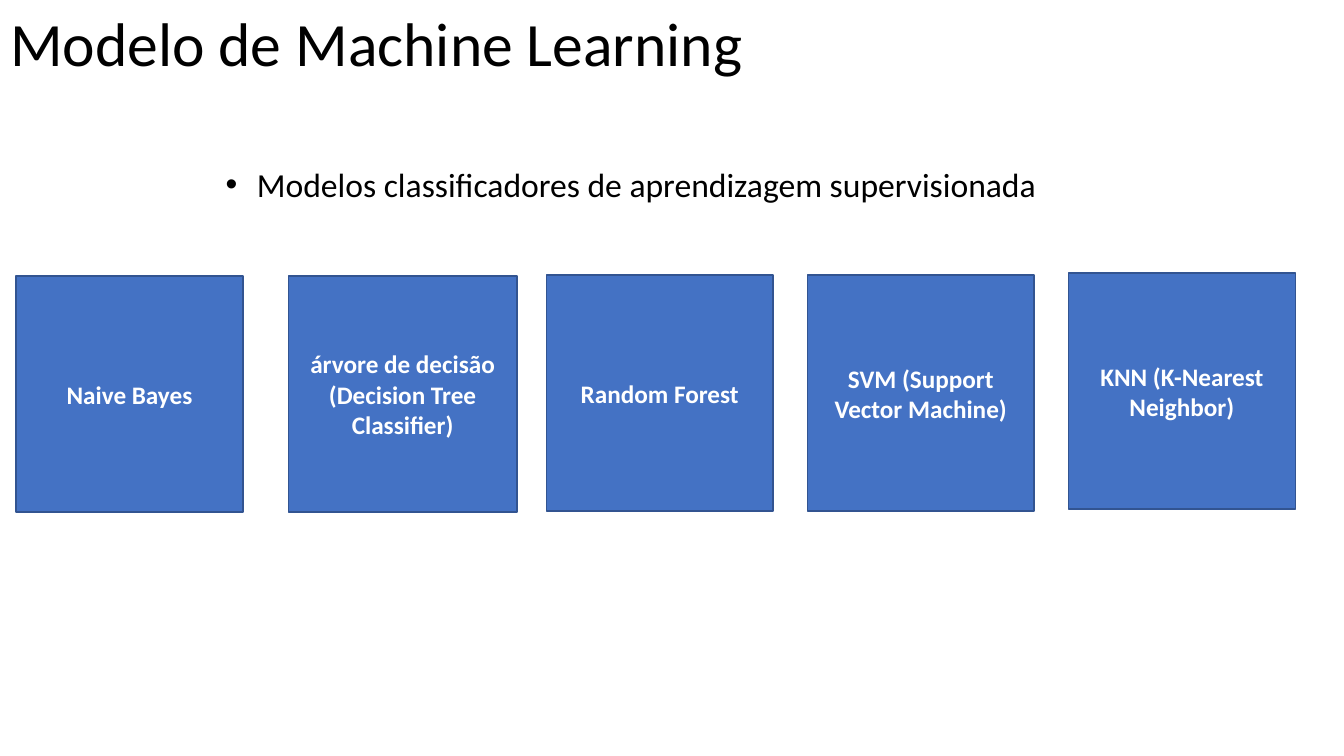
from dataclasses import dataclass

from lxml import etree
from pptx import Presentation
from pptx import util as u
from pptx.dml.color import RGBColor
from pptx.enum import shapes, text
from pptx.oxml import ns

BLACK = RGBColor(0x00, 0x00, 0x00)
WHITE = RGBColor(0xFF, 0xFF, 0xFF)
BLUE = RGBColor(0x44, 0x72, 0xC4)
DARK_BLUE = RGBColor(0x32, 0x54, 0x91)
FONT = "Calibri"

# Grid: square cells of a tenth of an inch
CELL = u.Inches(0.1)
COLUMNS, ROWS = 133.33, 75
CARD_ROWS = 23.4
BULLET_INDENT = 3.1


@dataclass(frozen=True)
class ModelCard:
    label: str
    column: float
    row: float
    columns: float = 22.5


MODELS = [
    ModelCard("Naive Bayes", 1.6, 27.4),
    ModelCard("árvore de decisão (Decision Tree Classifier)", 28.6, 27.4, 22.7),
    ModelCard("Random Forest", 54.2, 27.3),
    ModelCard("SVM (Support Vector Machine)", 80.1, 27.3),
    ModelCard("KNN (K-Nearest Neighbor)", 106, 27.1),
]


def grid(cells: float) -> int:
    return round(cells * CELL)


def write(shape, wording: str, size: float, color: RGBColor, align, anchor, bold: bool = False):
    """Fill the shape with one formatted run and return its paragraph."""
    frame = shape.text_frame
    frame.word_wrap = True
    frame.vertical_anchor = anchor
    para = frame.paragraphs[0]
    para.alignment = align
    span = para.add_run()
    span.text = wording
    span.font.name = FONT
    span.font.size = u.Pt(size)
    span.font.bold = bold
    span.font.color.rgb = color
    return para


def add_title(page) -> None:
    title = page.shapes.title
    title.left, title.top = 0, 0
    title.width, title.height = grid(COLUMNS), grid(8.4)
    title.text_frame.auto_size = text.MSO_AUTO_SIZE.NONE
    write(title, "Modelo de Machine Learning", 44, BLACK,
          text.PP_ALIGN.LEFT, text.MSO_ANCHOR.TOP)


def add_card(page, model: ModelCard) -> None:
    box = page.shapes.add_shape(
        shapes.MSO_SHAPE.RECTANGLE, grid(model.column), grid(model.row),
        grid(model.columns), grid(CARD_ROWS))
    box.shadow.inherit = False
    box.fill.solid()
    box.fill.fore_color.rgb = BLUE
    box.line.color.rgb = DARK_BLUE
    box.line.width = u.Pt(1)
    write(box, model.label, 18, WHITE,
          text.PP_ALIGN.CENTER, text.MSO_ANCHOR.MIDDLE, bold=True)


def add_subtitle(page) -> None:
    box = page.shapes.add_textbox(grid(21.4), grid(15.8), grid(85.5), grid(5))
    para = write(box, "Modelos classificadores de aprendizagem supervisionada", 24,
                 BLACK, text.PP_ALIGN.LEFT, text.MSO_ANCHOR.TOP)
    # Hanging bullet
    properties = para._p.get_or_add_pPr()
    properties.set("marL", str(grid(BULLET_INDENT)))
    properties.set("indent", str(-grid(BULLET_INDENT)))
    etree.SubElement(properties, ns.qn("a:buFont"), typeface="Arial")
    etree.SubElement(properties, ns.qn("a:buChar"), char="•")


def main() -> None:
    deck = Presentation()
    deck.slide_width, deck.slide_height = grid(COLUMNS), grid(ROWS)
    page = deck.slides.add_slide(deck.slide_layouts.get_by_name("Title Only"))

    add_title(page)
    for model in MODELS:
        add_card(page, model)
    add_subtitle(page)

    deck.save("out.pptx")


if __name__ == "__main__":
    main()
